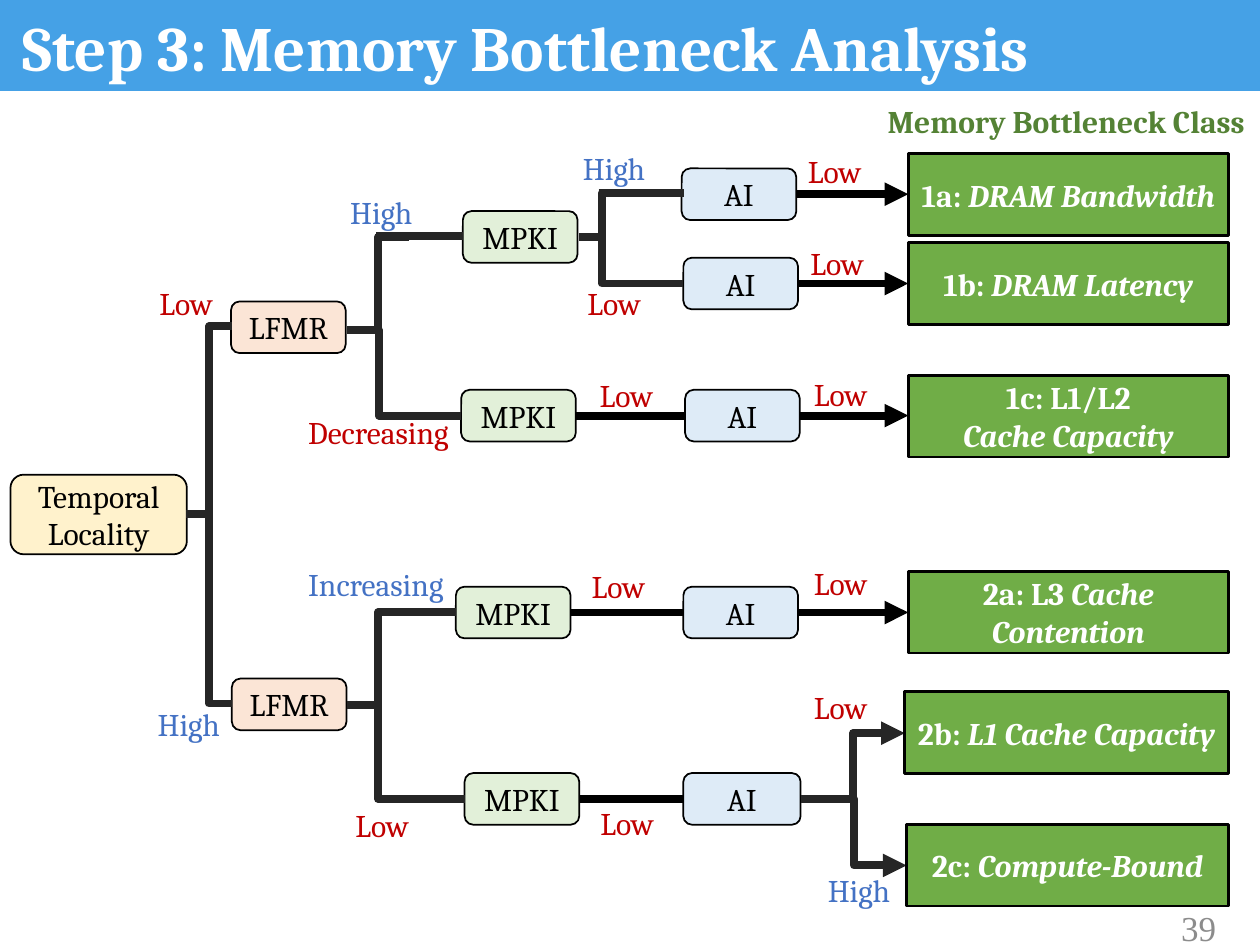
from lxml import etree
from pptx import Presentation
from pptx.dml.color import RGBColor
from pptx.enum.shapes import MSO_CONNECTOR, MSO_SHAPE
from pptx.enum.text import MSO_ANCHOR, MSO_AUTO_SIZE, PP_ALIGN
from pptx.oxml.ns import qn
from pptx.util import Pt

RECT, ROUND = MSO_SHAPE.RECTANGLE, MSO_SHAPE.ROUNDED_RECTANGLE
STRAIGHT, ELBOW = MSO_CONNECTOR.STRAIGHT, MSO_CONNECTOR.ELBOW
LEFT, CENTER, RIGHT = PP_ALIGN.LEFT, PP_ALIGN.CENTER, PP_ALIGN.RIGHT
TOP, MIDDLE = MSO_ANCHOR.TOP, MSO_ANCHOR.MIDDLE
FIT = MSO_AUTO_SIZE.SHAPE_TO_FIT_TEXT

WHITE = RGBColor(0xFF, 0xFF, 0xFF)
BLACK = RGBColor(0x00, 0x00, 0x00)
DARK = RGBColor(0x26, 0x26, 0x26)
GRAY = RGBColor(0x8C, 0x8C, 0x8C)
BANNER = RGBColor(0x45, 0xA1, 0xE6)
YELLOW = RGBColor(0xFF, 0xF2, 0xCC)
ORANGE = RGBColor(0xFB, 0xE5, 0xD6)
MINT = RGBColor(0xE2, 0xF0, 0xD9)
PALE_BLUE = RGBColor(0xDE, 0xEB, 0xF7)
GREEN = RGBColor(0x70, 0xAD, 0x47)
DARK_GREEN = RGBColor(0x54, 0x82, 0x35)
RED = RGBColor(0xC0, 0x00, 0x00)
BLUE = RGBColor(0x44, 0x72, 0xC4)


class Deck:
    font, size = "Cambria", 18
    node_w, node_h = 65.5, 29.5
    class_h, label_h = 46.8, 28.8
    line_w = 4.5

    def __init__(self, slide):
        self.s = slide

    def style(self, p, color, align=CENTER, size=None, bold=False, font=None):
        p.alignment = align
        p.font.name = font or self.font
        p.font.size = Pt(size or self.size)
        p.font.bold = bold
        p.font.color.rgb = color

    def shape(self, kind, x, y, w, h, fill, outline=None):
        sp = self.s.shapes.add_shape(kind, Pt(x), Pt(y), Pt(w), Pt(h))
        sp.shadow.inherit = False
        sp.fill.solid()
        sp.fill.fore_color.rgb = fill
        if outline:
            sp.line.color.rgb = BLACK
            sp.line.width = Pt(outline)
        else:
            sp.line.fill.background()
        tf = sp.text_frame
        tf.word_wrap = True
        tf.vertical_anchor = MIDDLE
        tf.margin_left = tf.margin_right = Pt(4)
        return sp

    def node(self, text, x, cy, fill, w=node_w, h=node_h):
        sp = self.shape(ROUND, x, cy - h / 2, w, h, fill, 1)
        p = sp.text_frame.paragraphs[0]
        p.text = text
        self.style(p, BLACK)

    def class_box(self, x, y, *lines):
        """Each line is a (plain, italic) pair; boxes share a right edge."""
        sp = self.shape(RECT, x, y, 702 - x, self.class_h, GREEN, 1.5)
        tf = sp.text_frame
        for i, (plain, italic) in enumerate(lines):
            p = tf.add_paragraph() if i else tf.paragraphs[0]
            self.style(p, WHITE, bold=True)
            for text, slanted in ((plain, False), (italic, True)):
                if text:
                    r = p.add_run()
                    r.text = text
                    r.font.italic = slanted

    def text(self, text, x, y, w, h, color, anchor=TOP, wrap=True, fit=False, **style):
        tf = self.s.shapes.add_textbox(Pt(x), Pt(y), Pt(w), Pt(h)).text_frame
        tf.word_wrap = wrap
        tf.vertical_anchor = anchor
        if fit:
            tf.auto_size = FIT
        p = tf.paragraphs[0]
        p.text = text
        self.style(p, color, **style)
        return p

    def label(self, text, x, y, w, color):
        self.text(text, x, y, w, self.label_h, color, wrap=False, fit=True, align=LEFT)

    def line(self, x1, y1, x2, y2, color=BLACK, arrow=False, bend=None):
        """A straight line, or an elbow that turns at x = bend."""
        kind = STRAIGHT if bend is None else ELBOW
        c = self.s.shapes.add_connector(kind, Pt(x1), Pt(y1), Pt(x2), Pt(y2))
        c.line.color.rgb = color
        c.line.width = Pt(self.line_w)
        pr = c._element.spPr
        if bend is not None:
            av = pr.find(qn("a:prstGeom")).get_or_add_avLst()
            ratio = round((bend - x1) / (x2 - x1) * 100000)
            etree.SubElement(av, qn("a:gd"), name="adj1", fmla=f"val {ratio}")
        if arrow:
            etree.SubElement(pr.find(qn("a:ln")), qn("a:tailEnd"), type="triangle")
        etree.SubElement(pr, qn("a:effectLst"))


prs = Presentation()
prs.slide_width, prs.slide_height = Pt(720), Pt(540)
deck = Deck(prs.slides.add_slide(prs.slide_layouts[6]))

# Title banner
deck.shape(RECT, 0, -2, 720, 54, BANNER)
title = deck.text("Step 3: Memory Bottleneck Analysis", 6, 6, 708, 58, WHITE,
                  align=LEFT, size=36, bold=True)
title.line_spacing = 0.9

# Row centres of the tree
ROOT, LFMR_1, LFMR_2 = 294, 187, 402.5
ROW_1, ROW_1A, ROW_1B, ROW_1C = 135.4, 111, 162, 237.5
ROW_2A, ROW_2 = 350, 456.5

# Decision nodes
deck.node("Temporal Locality", 6, ROOT, YELLOW, 100.8, 45.5)
for x, cy in ((132, LFMR_1), (132.5, LFMR_2)):
    deck.node("LFMR", x, cy, ORANGE)
for x, cy in ((264.5, ROW_1), (263.5, ROW_1C), (260.5, ROW_2A), (265.5, ROW_2)):
    deck.node("MPKI", x, cy, MINT)
for x, cy in ((389.5, ROW_1A), (390.5, ROW_1B), (391.5, ROW_1C), (390.5, ROW_2A)):
    deck.node("AI", x, cy, PALE_BLUE)
deck.node("AI", 390.5, ROW_2, PALE_BLUE, w=67)

# Branches: start, end, x of the turn, arrow
for x1, y1, x2, y2, bend, arrow in (
    (106.5, ROOT, 132.5, 186.5, 119.5, False),
    (106.5, ROOT, 132.5, 402, 119.5, False),
    (198.5, 188.5, 233.5, 135.4, 216, False),
    (198.5, 188.5, 263.5, ROW_1C, 216.5, False),
    (331, ROW_1, 357, 110.2, 344, False),
    (331, ROW_1, 390.5, ROW_1B, 344, False),
    (198, 403, 260.5, ROW_2A, 216, False),
    (198, 403, 265.5, ROW_2, 216, False),
    (458, ROW_2, 517, 419, 487.5, True),
    (458, ROW_2, 518, 494.5, 488, True),
):
    deck.line(x1, y1, x2, y2, DARK, arrow, bend)
deck.line(215, 135, 264.5, 135, DARK)
deck.line(342, 110.2, 391, 110.2, DARK)

# Straight links between nodes, then arrows to the classes
for x1, x2, y in ((329, 391.5, ROW_1C), (326, 390.5, ROW_2A), (331, 390.5, ROW_2)):
    deck.line(x1, y, x2, y)
for x1, y in ((455.5, ROW_1A), (456.5, ROW_1B), (457, ROW_1C), (456, ROW_2A)):
    deck.line(x1, y, 519, y, arrow=True)

# Branch labels
for x, y in ((84, 158.5), (335.5, 211.5), (328.5, 159), (331, 320.5), (336, 456),
             (196, 457), (454.5, 83.5), (456, 136), (458, 211), (458, 319), (458, 389.5)):
    deck.label("Low", x, y, 48, RED)
for x, y in ((83, 399.5), (193, 106.5), (326, 81.5), (466, 494)):
    deck.label("High", x, y, 51, BLUE)
deck.label("Decreasing", 169, 232.5, 104.5, RED)
deck.label("Increasing", 169, 319.5, 96, BLUE)

# Bottleneck classes
deck.text("Memory Bottleneck Class", 476.5, 55, 265.5, 28.8, DARK_GREEN, fit=True, bold=True)
deck.class_box(519, 87.7, ("1a: ", "DRAM Bandwidth"))
deck.class_box(519, 138.7, ("1b: ", "DRAM Latency"))
deck.class_box(519, 214.4, ("1c: L1/L2", ""), ("", "Cache Capacity"))
deck.class_box(519, 326.4, ("2a: L3 ", "Cache Contention"))
deck.class_box(517, 395.2, ("2b: ", "L1 Cache Capacity"))
deck.class_box(518, 471, ("2c: ", "Compute-Bound"))

# Page number
deck.text("39", 624, 515.5, 78, 28.8, GRAY, MIDDLE, align=RIGHT, size=20,
          font="Times New Roman")

prs.save("out.pptx")
